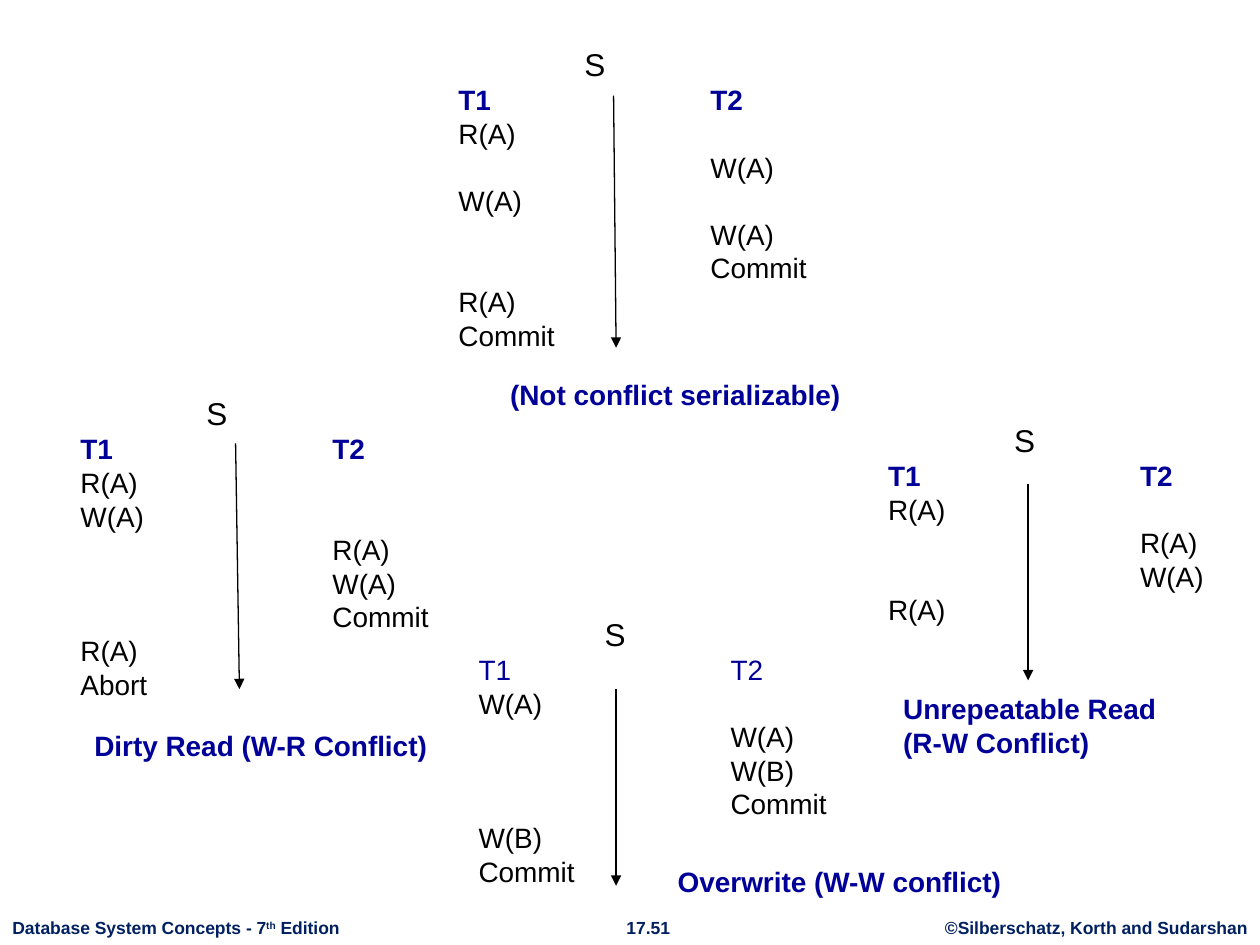
from dataclasses import dataclass

from lxml.etree import SubElement
from pptx import Presentation
from pptx.dml.color import RGBColor
from pptx.enum.shapes import MSO_CONNECTOR as Connector
from pptx.enum.text import PP_ALIGN as Align
from pptx.oxml.ns import qn
from pptx.slide import Slide
from pptx.text.text import TextFrame
from pptx.util import Inches, Pt

BLACK = RGBColor(0x00, 0x00, 0x00)
BLUE = RGBColor(0x00, 0x00, 0x99)
NAVY = RGBColor(0x00, 0x20, 0x60)
FONT = "Arial"
COLUMN_STOPS = (1, 2)


@dataclass(frozen=True)
class Step:
    transaction: int
    action: str


@dataclass(frozen=True)
class Schedule:
    left: float
    top: float
    width: float
    height: float
    steps: tuple[Step, ...]
    bold_heading: bool = True


@dataclass(frozen=True)
class Arrow:
    start: tuple[float, float]
    end: tuple[float, float]


@dataclass(frozen=True)
class Label:
    left: float
    top: float
    width: float
    height: float
    text: str
    size: int = 16
    color: RGBColor = BLUE
    align: Align = Align.LEFT


SCHEDULES = (
    Schedule(3.54, 0.31, 2.99, 2.56, (
        Step(1, "R(A)"), Step(2, "W(A)"), Step(1, "W(A)"), Step(2, "W(A)"),
        Step(2, "Commit"), Step(1, "R(A)"), Step(1, "Commit"))),
    Schedule(0.54, 3.08, 2.99, 2.56, (
        Step(1, "R(A)"), Step(1, "W(A)"), Step(2, "R(A)"), Step(2, "W(A)"),
        Step(2, "Commit"), Step(1, "R(A)"), Step(1, "Abort"))),
    Schedule(3.7, 4.83, 2.99, 2.56, (
        Step(1, "W(A)"), Step(2, "W(A)"), Step(2, "W(B)"),
        Step(2, "Commit"), Step(1, "W(B)"), Step(1, "Commit")), False),
    Schedule(6.95, 3.29, 2.73, 2.02, (
        Step(1, "R(A)"), Step(2, "R(A)"), Step(2, "W(A)"), Step(1, "R(A)"))),
)

ARROWS = (
    Arrow((4.87, 0.76), (4.89, 2.76)),
    Arrow((1.87, 3.52), (1.9, 5.47)),
    Arrow((4.89, 5.47), (4.89, 7.03)),
    Arrow((8.16, 3.84), (8.16, 5.4)),
)

CAPTIONS = (
    Label(7.07, 5.44, 2.3, 0.64, "Unrepeatable Read\n(R-W Conflict)"),
    Label(5.28, 6.81, 2.81, 0.37, "Overwrite (W-W conflict)"),
    Label(0.65, 5.73, 2.88, 0.37, "Dirty Read (W-R Conflict)"),
    Label(3.95, 2.95, 2.86, 0.37, "(Not conflict serializable)"),
)

FOOTERS = (
    Label(7.4, 7.23, 2.6, 0.27, "©Silberschatz, Korth and Sudarshan", 10, NAVY, Align.CENTER),
    Label(4.86, 7.23, 0.57, 0.27, "17.51", 10, NAVY, Align.CENTER),
)
EDITION = Label(0, 7.23, 2.81, 0.27, "Database System Concepts - 7", 10, NAVY)


def add_text_frame(slide: Slide, box: Schedule | Label, wrap: bool) -> TextFrame:
    shape = slide.shapes.add_textbox(
        Inches(box.left), Inches(box.top), Inches(box.width), Inches(box.height))
    shape.text_frame.word_wrap = wrap
    return shape.text_frame


def format_runs(paragraph, size: int, color: RGBColor, bold: bool) -> None:
    for run in paragraph.runs:
        run.font.name = FONT
        run.font.size = Pt(size)
        run.font.bold = bold
        run.font.color.rgb = color


def add_tab_stops(paragraph) -> None:
    properties = paragraph._p.get_or_add_pPr()
    tab_list = SubElement(properties, qn("a:tabLst"))
    for stop in COLUMN_STOPS:
        SubElement(tab_list, qn("a:tab"), pos=str(Inches(stop)), algn="l")


def add_schedule(slide: Slide, schedule: Schedule) -> None:
    text_frame = add_text_frame(slide, schedule, True)
    rows = ["\tS", "T1\t\tT2"]
    rows += ["\t\t" * (step.transaction - 1) + step.action for step in schedule.steps]
    text_frame.text = "\n".join(rows)
    for index, paragraph in enumerate(text_frame.paragraphs):
        add_tab_stops(paragraph)
        heading = index == 1
        format_runs(paragraph, 18 if index == 0 else 16,
                    BLUE if heading else BLACK, heading and schedule.bold_heading)


def add_label(slide: Slide, label: Label) -> TextFrame:
    text_frame = add_text_frame(slide, label, False)
    text_frame.text = label.text
    for paragraph in text_frame.paragraphs:
        paragraph.alignment = label.align
        format_runs(paragraph, label.size, label.color, True)
    return text_frame


def add_edition(slide: Slide) -> None:
    paragraph = add_label(slide, EDITION).paragraphs[0]
    ordinal = paragraph.add_run()
    ordinal.text = "th"
    paragraph.add_run().text = " Edition"
    format_runs(paragraph, EDITION.size, EDITION.color, True)
    ordinal._r.get_or_add_rPr().set("baseline", "30000")


def add_arrow(slide: Slide, arrow: Arrow) -> None:
    points = (Inches(value) for value in arrow.start + arrow.end)
    connector = slide.shapes.add_connector(Connector.STRAIGHT, *points)
    connector.line.color.rgb = BLACK
    connector.line.width = Pt(0.75)
    SubElement(connector.line._get_or_add_ln(), qn("a:tailEnd"), type="triangle")
    SubElement(connector._element.spPr, qn("a:effectLst"))


def main() -> None:
    presentation = Presentation()
    presentation.slide_width = Inches(10)
    presentation.slide_height = Inches(7.5)
    slide = presentation.slides.add_slide(presentation.slide_layouts[6])
    for footer in FOOTERS:
        add_label(slide, footer)
    add_edition(slide)
    for schedule in SCHEDULES:
        add_schedule(slide, schedule)
    for arrow in ARROWS:
        add_arrow(slide, arrow)
    for caption in CAPTIONS:
        add_label(slide, caption)
    presentation.save("out.pptx")


if __name__ == "__main__":
    main()
